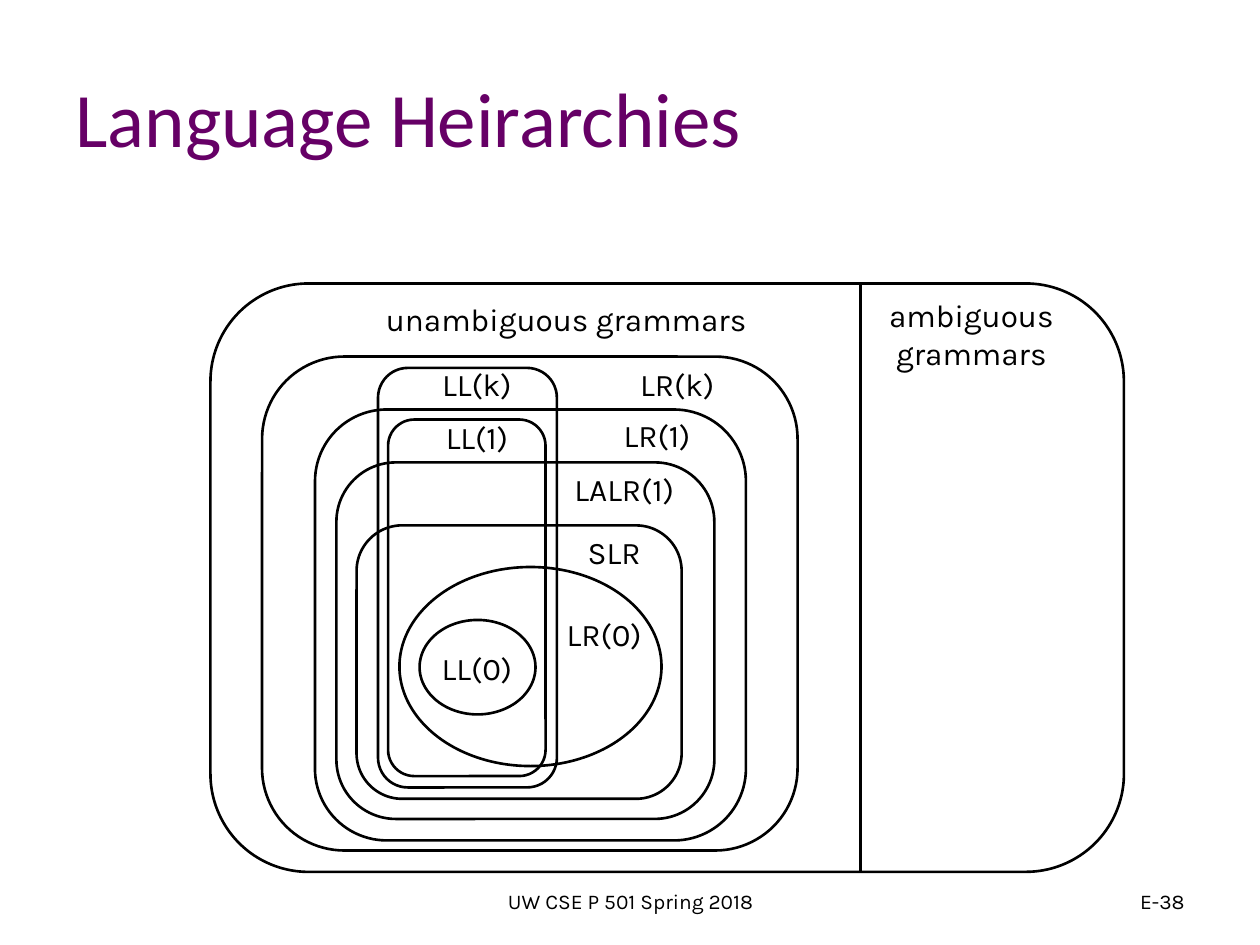
from lxml.etree import SubElement
from pptx import Presentation
from pptx.dml.color import RGBColor
from pptx.enum.shapes import MSO_CONNECTOR, MSO_SHAPE
from pptx.enum.text import MSO_ANCHOR, PP_ALIGN
from pptx.oxml.ns import qn
from pptx.util import Inches, Pt

BLACK = RGBColor(0x00, 0x00, 0x00)
PURPLE = RGBColor(0x66, 0x00, 0x66)
ROUND, OVAL = MSO_SHAPE.ROUNDED_RECTANGLE, MSO_SHAPE.OVAL

prs = Presentation()
prs.slide_width, prs.slide_height = Inches(10), Inches(7.5)
slide = prs.slides.add_slide(prs.slide_layouts[5])


def format_text(tf, size, font, color, align, anchor):
    """Apply one text format to every paragraph of a text frame."""
    tf.word_wrap = True
    tf.vertical_anchor = anchor
    for p in tf.paragraphs:
        p.alignment = align
        for r in p.runs:
            for name, value in {"size": Pt(size), "name": font}.items():
                setattr(r.font, name, value)
            r.font.color.rgb = color


def add_text(text, x, y, w, h, size=18, align=PP_ALIGN.CENTER, anchor=MSO_ANCHOR.TOP):
    """Add a text box in the body font, one paragraph a line."""
    tf = slide.shapes.add_textbox(Inches(x), Inches(y), Inches(w), Inches(h)).text_frame
    tf.text = text
    format_text(tf, size, "Karla", BLACK, align, anchor)


title = slide.shapes.title
title.left, title.top, title.width, title.height = [Inches(v) for v in (0.5, 0.3, 9, 1.25)]
title.text_frame.text = "Language Heirarchies"
format_text(title.text_frame, 44, "Calibri", PURPLE, PP_ALIGN.LEFT, MSO_ANCHOR.MIDDLE)

# Language classes, outermost first
classes = [
    (ROUND, 1.67, 2.25, 7.25, 4.67),  # all grammars
    (ROUND, 2.08, 2.83, 4.25, 3.92),  # LR(k)
    (ROUND, 2.5, 3.25, 3.42, 3.42),   # LR(1)
    (ROUND, 2.67, 3.67, 3, 2.83),     # LALR(1)
    (ROUND, 2.83, 4.17, 2.58, 2.17),  # SLR
    (OVAL, 3.17, 4.5, 2.08, 1.58),    # LR(0)
    (OVAL, 3.33, 4.92, 0.92, 0.75),   # LL(0)
    (ROUND, 3.08, 3.33, 1.25, 2.83),  # LL(1)
    (ROUND, 3, 2.92, 1.42, 3.33),     # LL(k)
]
for kind, *box in classes:
    sp = slide.shapes.add_shape(kind, *[Inches(v) for v in box])
    sp.shadow.inherit = False
    sp.fill.background()
    sp.line.color.rgb = BLACK
    sp.line.width = Pt(1.5)

divider = slide.shapes.add_connector(
    MSO_CONNECTOR.STRAIGHT, Inches(6.83), Inches(2.25), Inches(6.83), Inches(6.92))
divider.line.color.rgb = BLACK
divider.line.width = Pt(1.5)
SubElement(divider._element.spPr, qn("a:effectLst"))

add_text("ambiguous\ngrammars", 6.83, 2.3, 1.76, 0.7)
add_text("unambiguous grammars", 2.66, 2.33, 3.67, 0.4)
class_labels = [
    ("LR(k)", 4.58, 2.85), ("LR(1)", 4.42, 3.25), ("LALR(1)", 4.16, 3.68),
    ("SLR", 4.08, 4.18), ("LR(0)", 4, 4.83),
    ("LL(0)", 2.99, 5.1), ("LL(1)", 2.99, 3.27), ("LL(k)", 2.99, 2.85),
]
for text, x, y in class_labels:
    add_text(text, x, y, 1.59, 0.4)

add_text("UW CSE P 501 Spring 2018", 3.42, 6.95, 3.17, 0.4, 12, anchor=MSO_ANCHOR.MIDDLE)
add_text("E-38", 7.17, 6.95, 2.33, 0.4, 12, PP_ALIGN.RIGHT, MSO_ANCHOR.MIDDLE)

prs.save("out.pptx")
